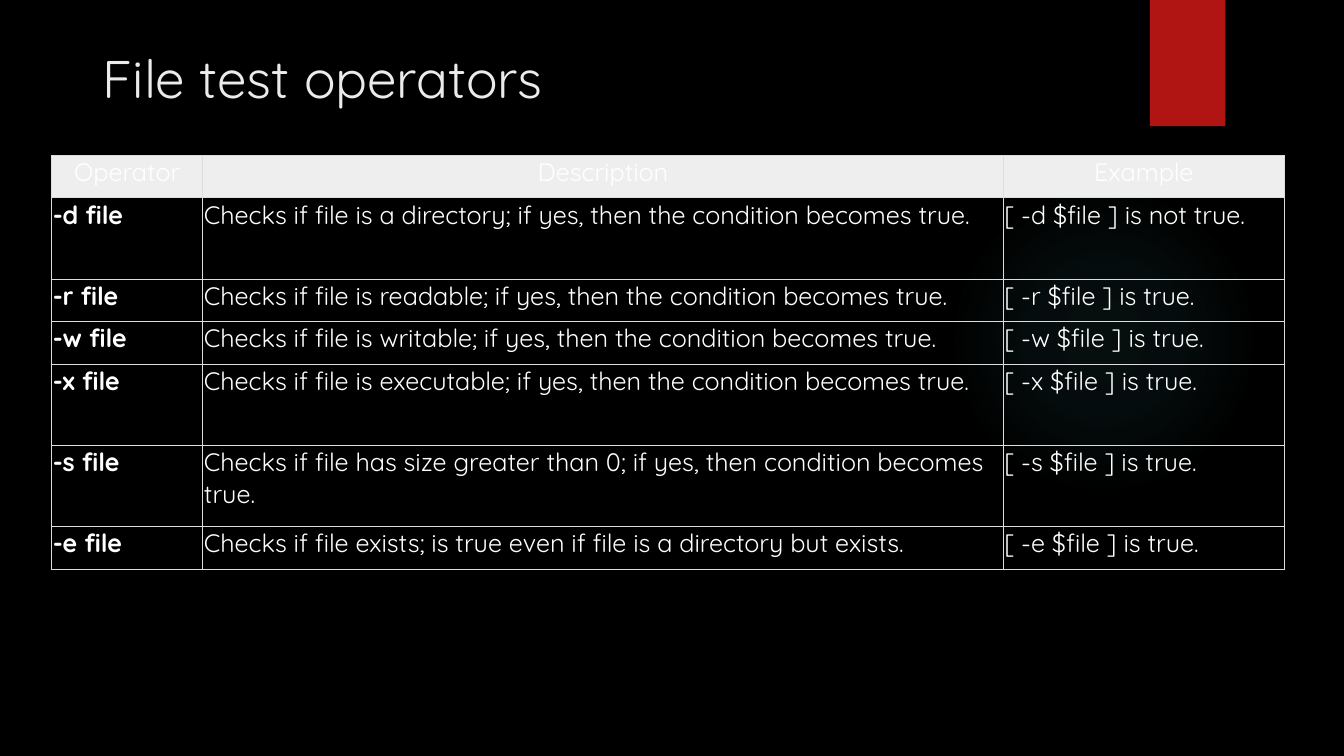
from dataclasses import dataclass

from lxml import etree
from pptx import Presentation
from pptx.dml.color import RGBColor as Rgb
from pptx.enum.shapes import MSO_SHAPE as Shape
from pptx.enum.text import MSO_ANCHOR as Anchor, MSO_AUTO_SIZE as Fit, PP_ALIGN as Align
from pptx.oxml import parse_xml
from pptx.oxml.ns import nsdecls, qn
from pptx.util import Cm, Pt


@dataclass(frozen=True)
class Theme:
    font: str = "Quicksand"
    back: str = "000000"
    title: str = "EBEBEB"
    text: str = "FFFFFF"
    head: str = "EEEEEE"
    line: str = "DDDDDD"
    tab: str = "B01513"
    glow: str = "50B9C1"
    title_size: float = 37.8
    text_size: float = 18


theme = Theme()


def style(run, size, color, bold=False):
    font = run.font
    font.name = theme.font
    font.size = Pt(size)
    font.bold = bold
    font.color.rgb = Rgb.from_string(color)


def border(cell):
    """Draw a thin line on all four sides of the cell."""
    props = cell._tc.get_or_add_tcPr()
    for side in ("lnL", "lnR", "lnT", "lnB"):
        line = etree.SubElement(props, qn(f"a:{side}"), w=str(Pt(0.6)))
        fill = etree.SubElement(line, qn("a:solidFill"))
        etree.SubElement(fill, qn("a:srgbClr"), val=theme.line)


deck = Presentation()
deck.slide_width, deck.slide_height = Cm(33.87), Cm(19.05)
slide = deck.slides.add_slide(deck.slide_layouts[5])
slide.background.fill.solid()
slide.background.fill.fore_color.rgb = Rgb.from_string(theme.back)

# Soft round glow
glow = slide.shapes.add_shape(Shape.OVAL, Cm(23.9), Cm(4.65), Cm(7.82), Cm(7.82))
glow.shadow.inherit = False
glow.line.fill.background()
glow.fill.background()
stops = "".join(
    f'<a:gs pos="{pos * 1000}"><a:srgbClr val="{theme.glow}">'
    f'<a:alpha val="{alpha * 1000}"/></a:srgbClr></a:gs>'
    for pos, alpha in ((0, 7), (36, 6), (69, 0))
)
fade = parse_xml(
    f'<a:gradFill {nsdecls("a")} rotWithShape="1"><a:gsLst>{stops}</a:gsLst>'
    '<a:path path="circle"><a:fillToRect l="50000" t="50000" r="50000" b="50000"/>'
    "</a:path></a:gradFill>"
)
props = glow._element.spPr
props.replace(props.find(qn("a:noFill")), fade)

# Red tab with a shadow below
tab = slide.shapes.add_shape(Shape.RECTANGLE, Cm(28.98), 0, Cm(1.9), Cm(3.18))
tab.fill.solid()
tab.fill.fore_color.rgb = Rgb.from_string(theme.tab)
tab.line.fill.background()
tab.shadow.inherit = False
tab._element.spPr.find(qn("a:effectLst")).append(parse_xml(
    f'<a:outerShdw {nsdecls("a")} blurRad="{Pt(3)}" dist="{Pt(2)}" dir="5400000">'
    '<a:srgbClr val="000000"><a:alpha val="45000"/></a:srgbClr></a:outerShdw>'
))

# Title
title = slide.shapes.title
title.left, title.top, title.width, title.height = Cm(2.34), Cm(1.02), Cm(29.21), Cm(1.19)
frame = title.text_frame
frame.text = "File test operators"
frame.auto_size = Fit.NONE
frame.vertical_anchor = Anchor.TOP
para = frame.paragraphs[0]
para.alignment = Align.LEFT
style(para.runs[0], theme.title_size, theme.title)

# Table of operators
rows = [
    ("Operator", "Description", "Example"),
    ("-d file", "Checks if file is a directory; if yes, then the condition becomes true.",
     "[ -d $file ] is not true."),
    ("-r file", "Checks if file is readable; if yes, then the condition becomes true.",
     "[ -r $file ] is true."),
    ("-w file", "Checks if file is writable; if yes, then the condition becomes true.",
     "[ -w $file ] is true."),
    ("-x file", "Checks if file is executable; if yes, then the condition becomes true.",
     "[ -x $file ] is true."),
    ("-s file", "Checks if file has size greater than 0; if yes, then condition becomes true.",
     "[ -s $file ] is true."),
    ("-e file", "Checks if file exists; is true even if file is a directory but exists.",
     "[ -e $file ] is true."),
]
widths = (3.81, 20.17, 7.09)
low, tall = 1.07, 2.05
heights = (low, tall, low, low, tall, tall, low)

table = slide.shapes.add_table(
    len(rows), len(widths), Cm(1.3), Cm(3.91), Cm(sum(widths)), Cm(sum(heights))
).table
table.horz_banding = False
for col, width in zip(table.columns, widths):
    col.width = Cm(width)
for row, height in zip(table.rows, heights):
    row.height = Cm(height)

for r, texts in enumerate(rows):
    for c, text in enumerate(texts):
        cell = table.cell(r, c)
        cell.margin_left = cell.margin_right = Cm(0.03)
        cell.margin_top = cell.margin_bottom = Cm(0.03)
        border(cell)
        cell.text_frame.text = text
        para = cell.text_frame.paragraphs[0]
        style(para.runs[0], theme.text_size, theme.text, bold=r > 0 and c == 0)
        if r == 0:
            para.alignment = Align.CENTER
            cell.fill.solid()
            cell.fill.fore_color.rgb = Rgb.from_string(theme.head)
        else:
            cell.fill.background()

deck.save("out.pptx")
